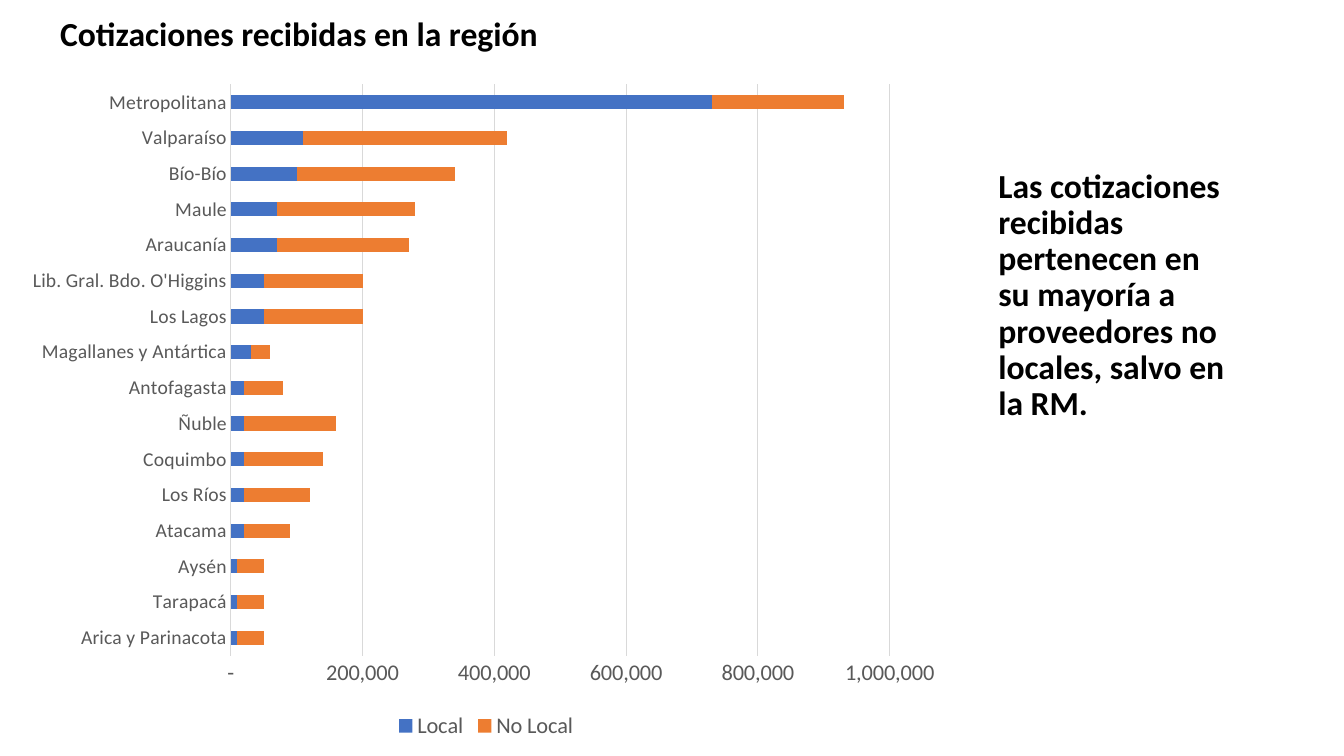
"""Build the slide on quotes received by region."""
from pptx import Presentation
from pptx.chart.data import CategoryChartData
from pptx.dml.color import RGBColor
from pptx.enum.chart import XL_CHART_TYPE, XL_LEGEND_POSITION, XL_TICK_MARK
from pptx.enum.text import MSO_ANCHOR, MSO_AUTO_SIZE, PP_ALIGN
from pptx.oxml.xmlchemy import OxmlElement
from pptx.util import Emu, Inches, Pt

PIXELS_PER_INCH = 100.8
FONT = "Calibri"
BLACK, GREY, PALE = "000000", "595959", "D9D9D9"
SERIES_COLOURS = {"Local": "4472C4", "No Local": "ED7D31"}
NUMBER_FORMAT = '_(* #,##0_);_(* \\(#,##0\\);_(* "-"_);_(@_)'
QUOTES = [
    ("Arica y Parinacota", 10000, 40000),
    ("Tarapacá", 10000, 40000),
    ("Aysén", 10000, 40000),
    ("Atacama", 20000, 70000),
    ("Los Ríos", 20000, 100000),
    ("Coquimbo", 20000, 120000),
    ("Ñuble", 20000, 140000),
    ("Antofagasta", 20000, 60000),
    ("Magallanes y Antártica", 30000, 30000),
    ("Los Lagos", 50000, 150000),
    ("Lib. Gral. Bdo. O'Higgins", 50000, 150000),
    ("Araucanía", 70000, 200000),
    ("Maule", 70000, 210000),
    ("Bío-Bío", 100000, 240000),
    ("Valparaíso", 110000, 310000),
    ("Metropolitana", 730000, 200000),
]


def px(pixels):
    """Turn pixels into EMU."""
    return Emu(round(pixels * 914400 / PIXELS_PER_INCH))


def colour(value):
    """Turn a hex string into a colour."""
    return RGBColor.from_string(value)


def style_font(font, size, value, bold=False):
    """Set the face, size, colour and weight of a font."""
    font.name, font.size, font.bold = FONT, Pt(size), bold
    font.color.rgb = colour(value)


def style_line(line, value):
    """Draw a thin line in one colour."""
    line.color.rgb = colour(value)
    line.width = Pt(0.75)


def fill_placeholder(box, place, text, anchor, space_before=0):
    """Move a placeholder and write one bold paragraph without a bullet."""
    box.left, box.top, box.width, box.height = map(px, place)
    frame = box.text_frame
    frame.word_wrap = True
    frame.auto_size = MSO_AUTO_SIZE.NONE
    frame.vertical_anchor = anchor
    para = frame.paragraphs[0]
    para.alignment = PP_ALIGN.LEFT
    para.line_spacing = 0.9
    para.space_before = Pt(space_before)
    properties = para._p.get_or_add_pPr()
    properties.set("marL", "0")
    properties.set("indent", "0")
    properties.append(OxmlElement("a:buNone"))
    span = para.add_run()
    span.text = text
    style_font(span.font, 24, BLACK, bold=True)


def style_axis(axis, size):
    """Set the labels of an axis and hide its tick marks."""
    axis.major_tick_mark = axis.minor_tick_mark = XL_TICK_MARK.NONE
    style_font(axis.tick_labels.font, size, GREY)


def add_quotes_chart(page, place):
    """Add the stacked bars of local and other quotes by region."""
    regions, *columns = zip(*QUOTES)
    data = CategoryChartData()
    data.categories = regions
    for name, values in zip(SERIES_COLOURS, columns):
        data.add_series(name, values)
    chart = page.shapes.add_chart(
        XL_CHART_TYPE.BAR_STACKED, *map(px, place), data).chart
    style_font(chart.font, 10, BLACK)
    chart.has_title = False

    chart.has_legend = True
    chart.legend.position = XL_LEGEND_POSITION.BOTTOM
    chart.legend.include_in_layout = False
    style_font(chart.legend.font, 16, GREY)

    style_axis(chart.category_axis, 14)
    style_line(chart.category_axis.format.line, PALE)
    amounts = chart.value_axis
    style_axis(amounts, 16)
    amounts.format.line.fill.background()
    amounts.minimum_scale, amounts.maximum_scale = 0, 1000000
    amounts.major_unit = 200000
    amounts.has_major_gridlines = True
    style_line(amounts.major_gridlines.format.line, PALE)
    amounts.tick_labels.number_format = NUMBER_FORMAT
    amounts.tick_labels.number_format_is_linked = False

    plot = chart.plots[0]
    plot.gap_width, plot.overlap, plot.vary_by_categories = 150, 100, False
    for series in plot.series:
        series.invert_if_negative = False
        series.format.fill.solid()
        series.format.fill.fore_color.rgb = colour(SERIES_COLOURS[series.name])


def main():
    """Build and save the deck."""
    deck = Presentation()
    deck.slide_width, deck.slide_height = Inches(13.33), Inches(7.5)
    page = deck.slides.add_slide(deck.slide_layouts[1])
    fill_placeholder(page.shapes.title, (50, 0, 676, 71),
                     "Cotizaciones recibidas en la región", MSO_ANCHOR.MIDDLE)
    fill_placeholder(page.placeholders[1], (988, 164, 251, 279),
                     "Las cotizaciones recibidas pertenecen en su mayoría a "
                     "proveedores no locales, salvo en la RM.",
                     MSO_ANCHOR.TOP, space_before=10)
    add_quotes_chart(page, (14, 71, 944, 673))
    deck.save("out.pptx")


main()
